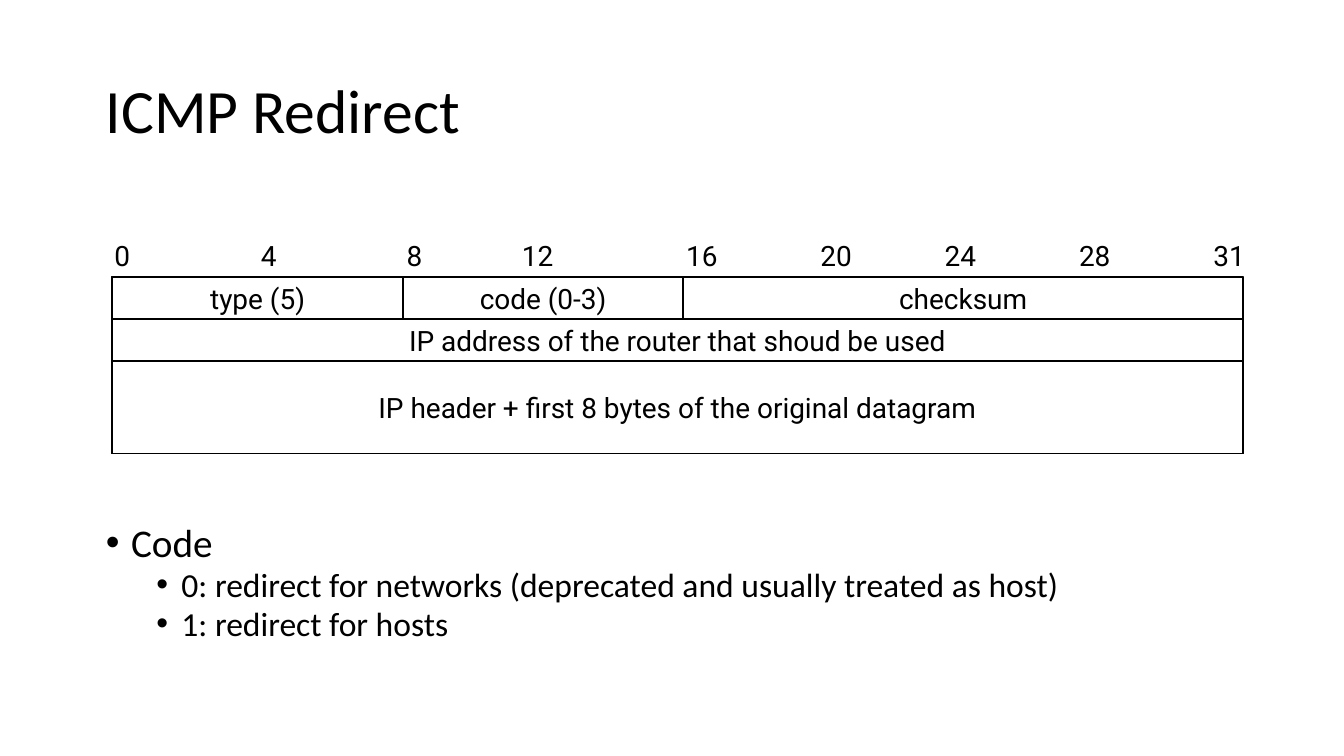
from lxml import etree
from pptx import Presentation
from pptx import util as u
from pptx.dml import color
from pptx.enum import shapes, text
from pptx.oxml import ns

Pt = u.Pt
BLACK = "000000"
FIELD_ROWS = [
    (22.5, [("type (5)", 156), ("code (0-3)", 150), ("checksum", 300)]),
    (22.5, [("IP address of the router that shoud be used", 606)]),
    (49.5, [("IP header + first 8 bytes of the original datagram", 606)]),
]
BIT_MARKS = [("0", 5.5), ("4", 84), ("8", 162), ("12", 228), ("16", 316),
             ("20", 388), ("24", 454.5), ("28", 526.5), ("31", 598.5)]
CODES = [
    ("Code", 0),
    ("0: redirect for networks (deprecated and usually treated as host)", 1),
    ("1: redirect for hosts", 1),
]


def rgb(value):
    """Turn a hex string into a colour."""
    return color.RGBColor.from_string(value)


def write(p, content, size=15, font="Roboto", fill=BLACK, align=text.PP_ALIGN.CENTER):
    """Put formatted text in a paragraph."""
    p.alignment = align
    r = p.add_run()
    r.text = content
    r.font.size = Pt(size)
    r.font.name = font
    r.font.color.rgb = rgb(fill)


def place(sp, box):
    """Move a shape to a box given in points."""
    sp.left, sp.top, sp.width, sp.height = (Pt(v) for v in box)


def label(sp, content, fit=text.MSO_AUTO_SIZE.NONE):
    """Centre an unwrapped label in a shape."""
    tf = sp.text_frame
    tf.word_wrap = False
    tf.auto_size = fit
    tf.vertical_anchor = text.MSO_ANCHOR.MIDDLE
    tf.margin_left = tf.margin_right = Pt(6.5)
    tf.margin_top = tf.margin_bottom = Pt(3.25)
    write(tf.paragraphs[0], content)


def add_bullet(p, left, hang):
    """Give a paragraph a round bullet with a hanging indent."""
    pPr = p._p.get_or_add_pPr()
    pPr.set("marL", str(Pt(left)))
    pPr.set("indent", str(-Pt(hang)))
    etree.SubElement(pPr, ns.qn("a:buFont")).set("typeface", "Arial")
    etree.SubElement(pPr, ns.qn("a:buChar")).set("char", "•")


def add_title(s, box, content):
    """Fill the title placeholder."""
    sp = s.shapes.title
    place(sp, box)
    tf = sp.text_frame
    tf.auto_size = text.MSO_AUTO_SIZE.NONE
    tf.vertical_anchor = text.MSO_ANCHOR.MIDDLE
    p = tf.paragraphs[0]
    p.line_spacing = 0.9
    write(p, content, size=33, font="Calibri", align=text.PP_ALIGN.LEFT)


def add_codes(s, box):
    """Fill the body placeholder with the list of codes."""
    sp = s.placeholders[1]
    place(sp, box)
    tf = sp.text_frame
    tf.auto_size = text.MSO_AUTO_SIZE.NONE
    for i, (content, level) in enumerate(CODES):
        p = tf.add_paragraph() if i else tf.paragraphs[0]
        p.level = level
        add_bullet(p, 13.5 + 27 * level, 13.5)
        p.line_spacing = 0.8
        p.space_before = Pt(3.5 if i else 0)
        write(p, content, size=18 if level else 21, font="Calibri",
              align=text.PP_ALIGN.LEFT)


def add_ruler(s, box):
    """Write the bit numbers, each centred on its mark."""
    left, top, _, height = box
    for number, mark in BIT_MARKS:
        width = 21.6 if len(number) == 1 else 30
        sp = s.shapes.add_textbox(Pt(left + mark - width / 2), Pt(top),
                                  Pt(width), Pt(height))
        label(sp, number, fit=text.MSO_AUTO_SIZE.SHAPE_TO_FIT_TEXT)


def add_field(s, box):
    """Draw an outlined rectangle."""
    sp = s.shapes.add_shape(shapes.MSO_SHAPE.RECTANGLE, *(Pt(v) for v in box))
    sp.shadow.inherit = False
    sp.fill.background()
    sp.line.color.rgb = rgb(BLACK)
    sp.line.width = Pt(1)
    return sp


def add_packet(s, box):
    """Draw the packet frame and its rows of fields."""
    add_field(s, box)
    left, y = box[:2]
    for height, fields in FIELD_ROWS:
        x = left
        for content, width in fields:
            label(add_field(s, (x, y, width, height)), content)
            x += width
        y += height


def main():
    """Build and save the slide."""
    prs = Presentation()
    prs.slide_width, prs.slide_height = Pt(720), Pt(405)
    s = prs.slides.add_slide(prs.slide_layouts[1])
    add_title(s, (49.5, 21.5, 621, 78.5), "ICMP Redirect")
    add_codes(s, (49.5, 279, 621, 86))
    add_packet(s, (60, 148.5, 606, 94.5))
    add_ruler(s, (60, 124.5, 606, 24.5))
    prs.save("out.pptx")


if __name__ == "__main__":
    main()
